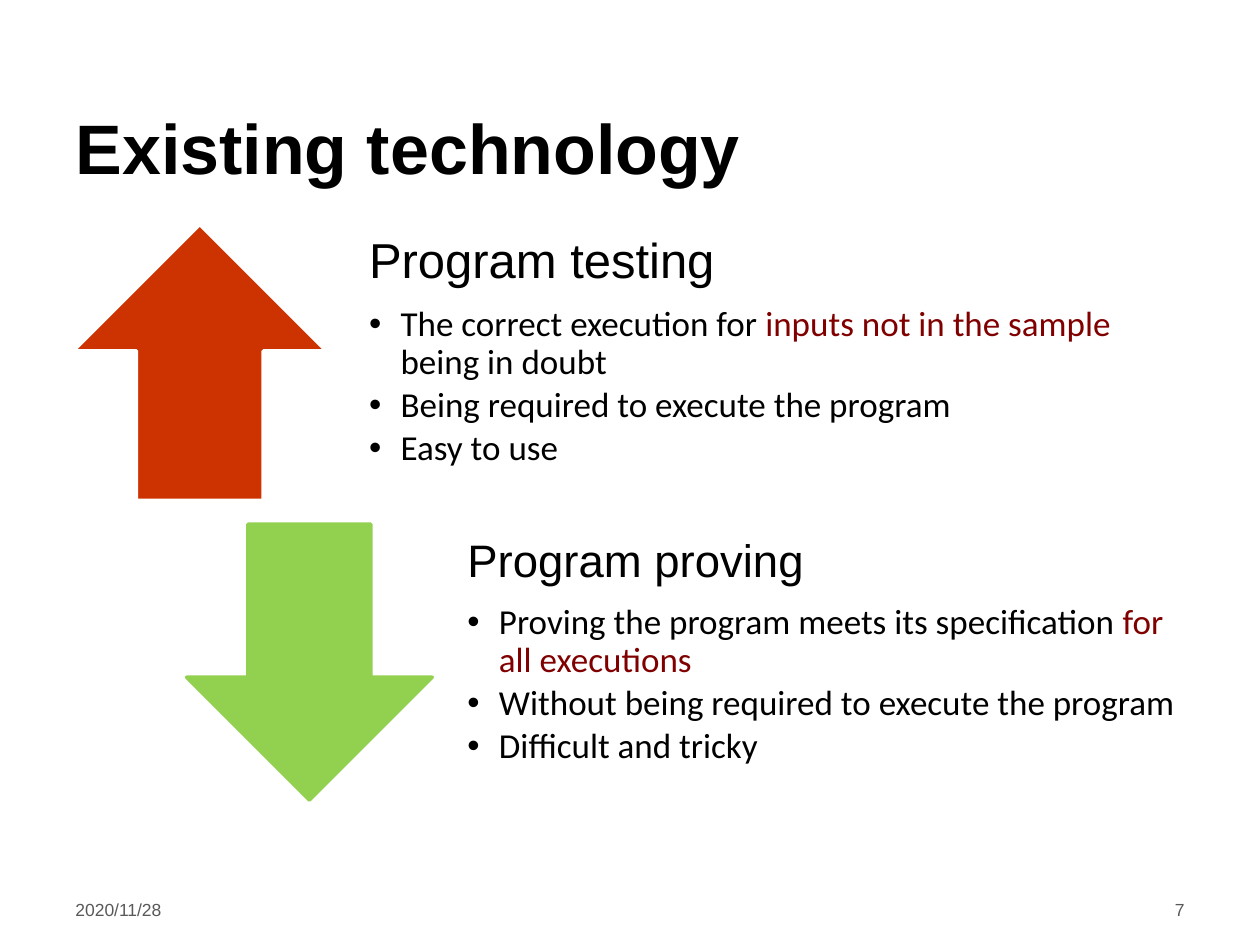
"""Build the slide that contrasts program testing with program proving."""
import lxml.etree
import pptx
import pptx.dml.color
import pptx.enum.shapes
import pptx.enum.text
import pptx.oxml.ns
import pptx.util

Pt = pptx.util.Pt
RGBColor = pptx.dml.color.RGBColor
MSO_SHAPE = pptx.enum.shapes.MSO_SHAPE
PP_ALIGN = pptx.enum.text.PP_ALIGN
MSO_ANCHOR = pptx.enum.text.MSO_ANCHOR
MSO_AUTO_SIZE = pptx.enum.text.MSO_AUTO_SIZE

COLORS = {
    "text": "000000",
    "emphasis": "800000",
    "footer": "595959",
    "testing": "CC3300",
    "proving": "92D050",
    "white": "FFFFFF",
}
METHODS = [
    {
        "heading": "Program testing",
        "heading_size": 28,
        "bullets": [
            [("The correct execution for ", "text"),
             ("inputs not in the sample ", "emphasis"),
             ("being in doubt", "text")],
            [("Being required to execute the program", "text")],
            [("Easy to use", "text")],
        ],
        "text_box": (199.4, 128.2, 488.9, 157.7),
        "arrow": MSO_SHAPE.UP_ARROW,
        "arrow_box": (41.8, 128.2, 144.7, 157.7),
        "fill": "testing",
        "line": "white",
    },
    {
        "heading": "Program proving",
        "heading_size": 26,
        "bullets": [
            [("Proving the program meets its specification ", "text"),
             ("for all executions", "emphasis")],
            [("Without being required to execute the program", "text")],
            [("Difficult and tricky", "text")],
        ],
        "text_box": (255.6, 299.5, 434.2, 157.7),
        "arrow": MSO_SHAPE.DOWN_ARROW,
        "arrow_box": (106.6, 299.5, 140.4, 157.7),
        "fill": "proving",
        "line": "proving",
    },
]


def place(shape, box):
    shape.left, shape.top, shape.width, shape.height = [Pt(value) for value in box]


def format_paragraph(paragraph, font_name, size, space_after, bullet=None):
    properties = paragraph._p.get_or_add_pPr()
    indent = Pt(18) if bullet else 0
    properties.set("marL", str(indent))
    properties.set("indent", str(-indent))
    tag = "a:buChar" if bullet else "a:buNone"
    marker = lxml.etree.SubElement(properties, pptx.oxml.ns.qn(tag))
    if bullet:
        marker.set("char", bullet)
    paragraph.line_spacing = 0.9
    paragraph.space_before = Pt(0)
    paragraph.space_after = Pt(space_after)
    paragraph.font.name = font_name
    paragraph.font.size = Pt(size)


presentation = pptx.Presentation()
presentation.slide_width, presentation.slide_height = Pt(720), Pt(540)
slide = presentation.slides.add_slide(presentation.slide_layouts[3])

title = slide.shapes.title
place(title, (36, 9.4, 594, 102.2))
title.text_frame.text = "Existing technology"
title.text_frame.vertical_anchor = MSO_ANCHOR.BOTTOM
title.text_frame.auto_size = MSO_AUTO_SIZE.NONE
paragraph = title.text_frame.paragraphs[0]
paragraph.alignment = PP_ALIGN.LEFT
paragraph.font.name = "Arial"
paragraph.font.size = Pt(40)
paragraph.font.bold = True
paragraph.font.color.rgb = RGBColor.from_string(COLORS["text"])

for left, text, alignment in [(36, "2020/11/28", PP_ALIGN.LEFT), (516, "7", PP_ALIGN.RIGHT)]:
    footer = slide.shapes.add_textbox(Pt(left), Pt(510), Pt(168), Pt(28))
    footer.text_frame.word_wrap = True
    footer.text_frame.text = text
    paragraph = footer.text_frame.paragraphs[0]
    paragraph.alignment = alignment
    paragraph.font.name = "Arial"
    paragraph.font.size = Pt(10)
    paragraph.font.color.rgb = RGBColor.from_string(COLORS["footer"])

for placeholder_index, method in enumerate(METHODS, start=1):
    arrow = slide.shapes.add_shape(method["arrow"], *[Pt(value) for value in method["arrow_box"]])
    arrow.shadow.inherit = False
    arrow.fill.solid()
    arrow.fill.fore_color.rgb = RGBColor.from_string(COLORS[method["fill"]])
    arrow.line.color.rgb = RGBColor.from_string(COLORS[method["line"]])
    arrow.line.width = Pt(2)

    body = slide.placeholders[placeholder_index]
    place(body, method["text_box"])
    frame = body.text_frame
    frame.auto_size = MSO_AUTO_SIZE.NONE
    frame.vertical_anchor = MSO_ANCHOR.MIDDLE
    frame.margin_left = frame.margin_right = frame.margin_bottom = Pt(11.5)
    frame.margin_top = Pt(0)

    frame.text = method["heading"]
    heading = frame.paragraphs[0]
    format_paragraph(heading, "Arial", method["heading_size"], 10)
    heading.font.color.rgb = RGBColor.from_string(COLORS["text"])
    for pieces in method["bullets"]:
        paragraph = frame.add_paragraph()
        paragraph.level = 1
        format_paragraph(paragraph, "Calibri", 20, 3, "•")
        for text, color in pieces:
            run = paragraph.add_run()
            run.text = text
            run.font.color.rgb = RGBColor.from_string(COLORS[color])

presentation.save("out.pptx")
